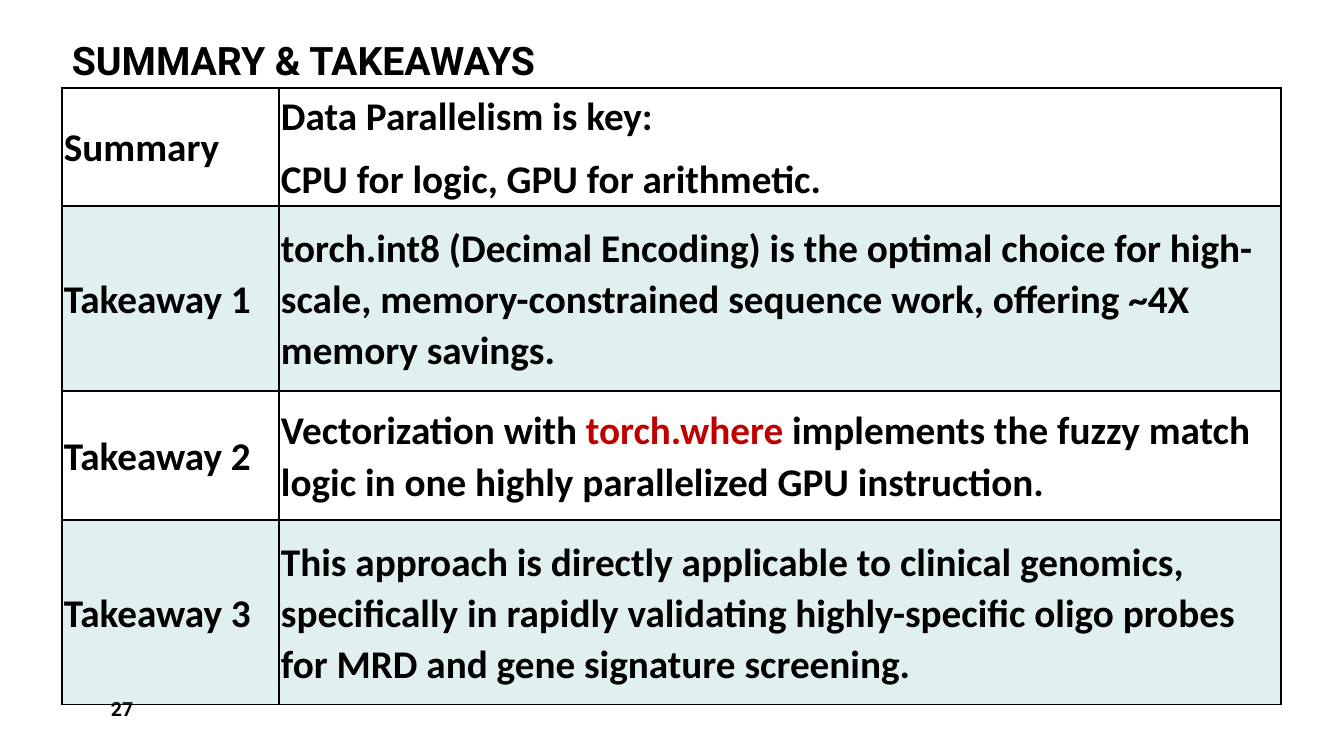
from dataclasses import dataclass

from lxml.etree import SubElement
from pptx import Presentation
from pptx.dml.color import RGBColor
from pptx.enum.text import MSO_ANCHOR as Anchor
from pptx.oxml import parse_xml
from pptx.oxml.ns import nsdecls, qn
from pptx.util import Pt

PX = 12192000 / 1344  # EMU in one px


def px(n):
    return round(n * PX)


@dataclass(frozen=True)
class Theme:
    ink: str = "000000"
    accent: str = "C00000"
    band: str = "66B2B0"
    band_alpha: int = 20
    heading_font: str = "Roboto"
    body_font: str = "Calibri"
    large: int = 28
    small: int = 14
    border: int = 1


class Deck:
    def __init__(self, theme):
        self.theme = theme
        self.prs = Presentation()
        self.prs.slide_width, self.prs.slide_height = px(1344), px(756)
        self.s = self.prs.slides.add_slide(self.prs.slide_layouts[6])

    def style(self, p, size, font):
        p.font.size, p.font.name, p.font.bold = Pt(size), font, True
        p.font.color.rgb = RGBColor.from_string(self.theme.ink)

    def text(self, box, text, size, anchor, line=None, after=None):
        tf = self.s.shapes.add_textbox(*map(px, box)).text_frame
        tf.word_wrap, tf.vertical_anchor = True, anchor
        p = tf.paragraphs[0]
        p.text, p.line_spacing = text, line
        p.space_after = after
        self.style(p, size, self.theme.heading_font)

    def borders(self, cell):
        tc_pr = cell._tc.get_or_add_tcPr()
        for i, side in enumerate(("lnL", "lnR", "lnT", "lnB")):
            tc_pr.insert(i, parse_xml(
                f'<a:{side} {nsdecls("a")} w="{Pt(self.theme.border)}"><a:solidFill>'
                f'<a:srgbClr val="{self.theme.ink}"/></a:solidFill></a:{side}>'))

    def cell(self, cell, paragraphs, banded):
        # Each paragraph is a list of runs; odd-numbered runs are highlighted
        cell.vertical_anchor = Anchor.MIDDLE
        cell.margin_left = cell.margin_right = px(2)
        cell.margin_top = cell.margin_bottom = px(2)
        tf = cell.text_frame
        for i, runs in enumerate(paragraphs):
            p = tf.add_paragraph() if i else tf.paragraphs[0]
            p.line_spacing, p.space_after = 1.07, Pt(8)
            self.style(p, self.theme.large, self.theme.body_font)
            for j, text in enumerate(runs):
                r = p.add_run()
                r.text = text
                if j % 2:
                    r.font.color.rgb = RGBColor.from_string(self.theme.accent)
        if banded:
            cell.fill.solid()
            cell.fill.fore_color.rgb = RGBColor.from_string(self.theme.band)
            color = cell._tc.tcPr.find(".//" + qn("a:srgbClr"))
            SubElement(color, qn("a:alpha"), val=str(self.theme.band_alpha * 1000))
        else:
            cell.fill.background()
        self.borders(cell)

    def table(self, left, top, widths, heights, rows):
        table = self.s.shapes.add_table(
            len(rows), len(widths), px(left), px(top),
            px(sum(widths)), px(sum(heights))).table
        table.first_row = table.horz_banding = False
        for column, width in zip(table.columns, widths):
            column.width = px(width)
        for i, (height, (label, paragraphs)) in enumerate(zip(heights, rows)):
            table.rows[i].height = px(height)
            for j, content in enumerate(([[label]], paragraphs)):
                self.cell(table.cell(i, j), content, banded=i % 2 == 1)


ROWS = [
    ("Summary", [["Data Parallelism is key:"],
                 ["CPU for logic, GPU for arithmetic."]]),
    ("Takeaway 1", [["torch.int8 (Decimal Encoding) is the optimal choice for "
                     "high-scale, memory-constrained sequence work, offering "
                     "~4X memory savings."]]),
    ("Takeaway 2", [["Vectorization with ", "torch.where",
                     " implements the fuzzy match logic in one highly "
                     "parallelized GPU instruction."]]),
    ("Takeaway 3", [["This approach is directly applicable to clinical genomics, "
                     "specifically in rapidly validating highly-specific oligo "
                     "probes for MRD and gene signature screening."]]),
]


def main():
    theme = Theme()
    deck = Deck(theme)

    # Title
    deck.text((62, 17, 1147, 72), "SUMMARY & TAKEAWAYS", theme.large,
              Anchor.BOTTOM, line=0.9)

    # Slide number
    deck.text((101, 689, 294, 40), "27", theme.small, Anchor.MIDDLE, after=Pt(6))

    # Takeaways table
    deck.table(62, 88, (217, 1002), (118, 185, 129, 185), ROWS)

    deck.prs.save("out.pptx")


if __name__ == "__main__":
    main()
